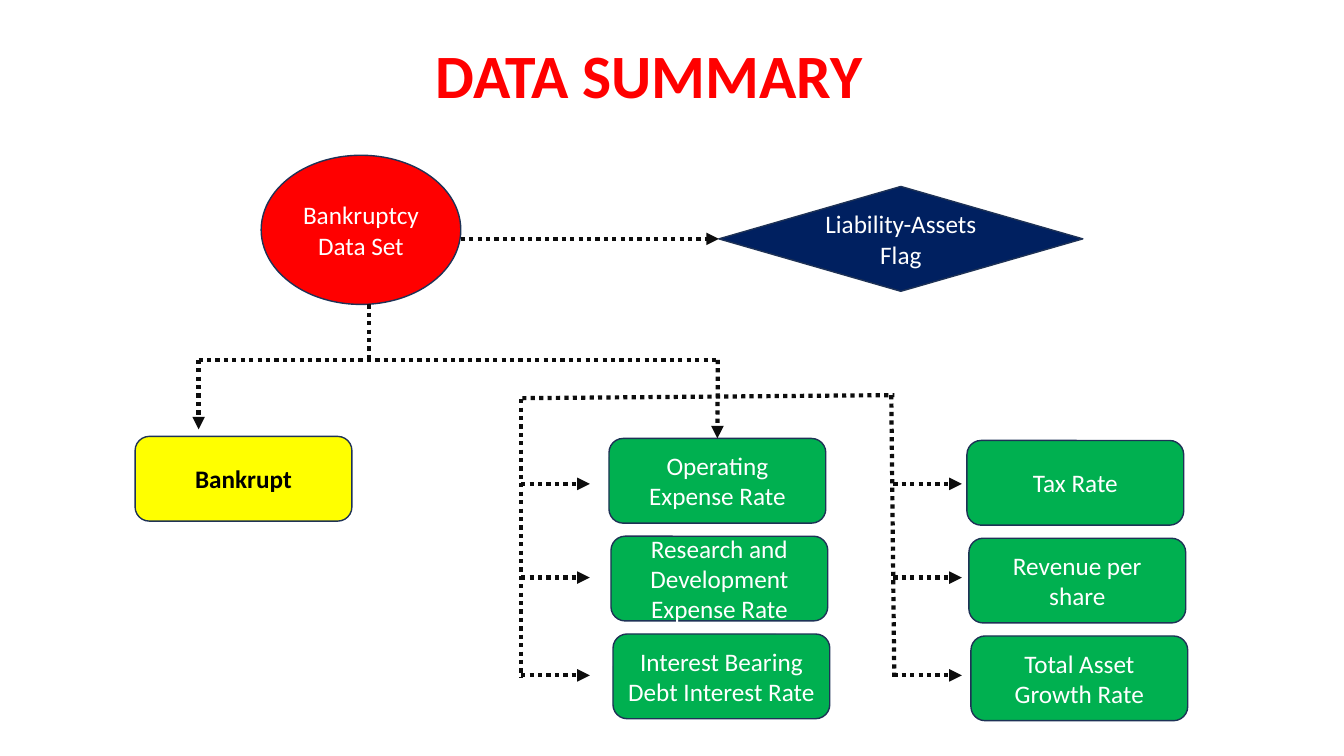
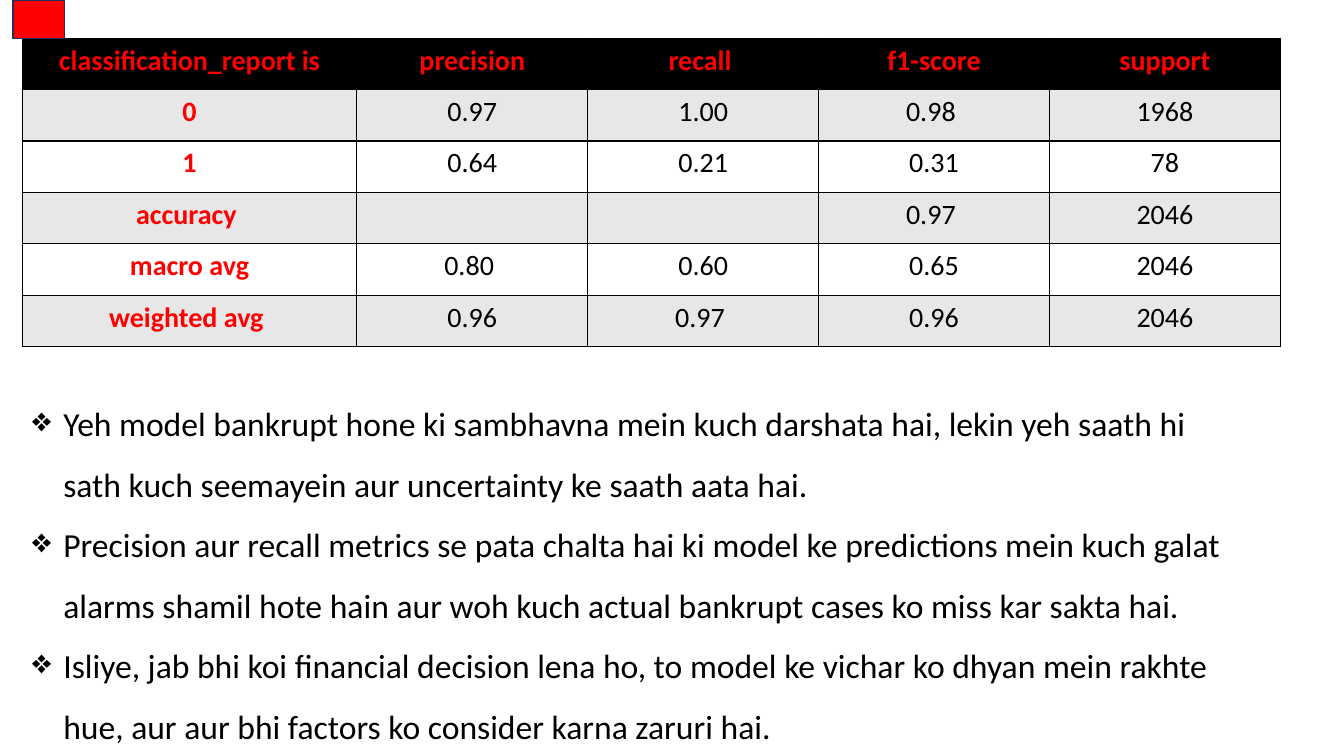
from dataclasses import dataclass
from pptx import Presentation
from pptx.dml.color import RGBColor as RGB
from pptx.enum.dml import MSO_LINE as Dash
from pptx.enum.shapes import MSO_CONNECTOR as Conn, MSO_SHAPE as Shape
from pptx.enum.text import MSO_ANCHOR as Anchor, MSO_AUTO_SIZE as Fit, PP_ALIGN as Align
from pptx.oxml.ns import qn
from pptx.util import Inches, Pt
from lxml.etree import SubElement as Sub


@dataclass(frozen=True)
class Theme:
    font: str = "Calibri"
    red: str = "FF0000"
    navy: str = "002060"
    yellow: str = "FFFF00"
    green: str = "00B050"
    black: str = "000000"
    white: str = "FFFFFF"
    gray: str = "E7E7E7"
    edge: str = "1E3256"
    wire: str = "0D0D0D"
    title: int = 44
    node: int = 18
    cell: int = 20
    body: int = 24


T = Theme()

# Content: the data summary diagram
TITLE = "DATA SUMMARY "
ROOT = "Bankruptcy Data Set"
FLAG = "Liability-Assets Flag"
TARGET = "Bankrupt"
GROUPS = [  # left, top of first box, x of spurs, labels
    (6.04, 4.35, 5.17, ["Operating Expense Rate",
                        "Research and Development Expense Rate",
                        "Interest Bearing Debt Interest Rate"]),
    (9.59, 4.37, 8.86, ["Tax Rate", "Revenue per share",
                        "Total Asset Growth Rate"]),
]
BOX = (2.15, 0.84)
STEP = (0.02, 0.97)
SPURS = (4.8, 5.73, 6.7)
SPUR = 0.68
WIRES = [  # x1, y1, x2, y2, arrow
    (3.66, 3.02, 3.66, 3.57, False),
    (1.97, 3.57, 7.13, 3.57, False),
    (1.97, 3.57, 1.97, 4.26, True),
    (5.18, 3.95, 8.87, 3.92, False),
    (5.17, 3.96, 5.17, 6.72, False),
    (8.84, 3.92, 8.87, 6.72, False),
]

# Content: the classification report
REPORT = [
    ("classification_report is", "precision", "recall ", "f1-score", "support"),
    ("0", "0.97", "1.00", "0.98 ", "1968"),
    ("1", "0.64", "0.21", "0.31", "78"),
    ("accuracy ", "", "", "0.97 ", "2046"),
    ("macro avg", "0.80 ", "0.60", "0.65", "2046"),
    ("weighted avg ", "0.96", "0.97 ", "0.96", "2046"),
]
COLS = (3.32, 2.29, 2.29, 2.29, 2.29)
ROW = 0.51
NOTES = [
    "Yeh model bankrupt hone ki sambhavna mein kuch darshata hai, lekin yeh "
    "saath hi sath kuch seemayein aur uncertainty ke saath aata hai.",
    "Precision aur recall metrics se pata chalta hai ki model ke predictions "
    "mein kuch galat alarms shamil hote hain aur woh kuch actual bankrupt "
    "cases ko miss kar sakta hai.",
    "Isliye, jab bhi koi financial decision lena ho, to model ke vichar ko "
    "dhyan mein rakhte hue, aur aur bhi factors ko consider karna zaruri hai.",
]


# Shared helpers
def color(code):
    return RGB.from_string(code)


def write(para, text, size, tint, bold=False, align=Align.CENTER):
    para.alignment = align
    run = para.add_run()
    run.text = text
    font = run.font
    font.name, font.size, font.bold = T.font, Pt(size), bold
    font.color.rgb = color(tint)


def block(slide, kind, place, fill, text="", tint=T.white, bold=False):
    shape = slide.shapes.add_shape(kind, *map(Inches, place))
    shape.shadow.inherit = False
    shape.fill.solid()
    shape.fill.fore_color.rgb = color(fill)
    shape.line.color.rgb = color(T.edge)
    shape.line.width = Pt(1)
    if text:
        frame = shape.text_frame
        frame.word_wrap = True
        frame.vertical_anchor = Anchor.MIDDLE
        write(frame.paragraphs[0], text, T.node, tint, bold)
    return shape


def wire(slide, x1, y1, x2, y2, arrow=False):
    line = slide.shapes.add_connector(
        Conn.STRAIGHT, *map(Inches, (x1, y1, x2, y2)))
    line.line.color.rgb = color(T.wire)
    line.line.width = Pt(3)
    line.line.dash_style = Dash.ROUND_DOT
    if arrow:
        Sub(line.line._get_or_add_ln(), qn("a:tailEnd"), type="triangle")
    Sub(line._element.spPr, qn("a:effectLst"))
    return line


def border(cell):
    props = cell._tc.get_or_add_tcPr()
    for side in ("lnL", "lnR", "lnT", "lnB"):
        edge = Sub(props, qn(f"a:{side}"), w=str(Pt(1)))
        Sub(Sub(edge, qn("a:solidFill")), qn("a:srgbClr"), val=T.black)


def bullet(para, mark, indent):
    props = para._p.get_or_add_pPr()
    props.set("marL", str(Inches(indent)))
    props.set("indent", str(-Inches(indent)))
    Sub(props, qn("a:buChar"), char=mark)


# Slide 1: diagram
def summary(deck):
    slide = deck.slides.add_slide(deck.slide_layouts[5])
    head = slide.shapes.title
    head.left, head.top, head.width, head.height = map(
        Inches, (0.76, 0.4, 11.5, 0.93))
    frame = head.text_frame
    frame.vertical_anchor, frame.auto_size = Anchor.TOP, Fit.NONE
    frame.paragraphs[0].line_spacing = 0.9
    write(frame.paragraphs[0], TITLE, T.title, T.red, True)

    # Nodes
    block(slide, Shape.OVAL, (2.59, 1.54, 1.98, 1.48), T.red, ROOT)
    flag = block(slide, Shape.FLOWCHART_DECISION, (7.13, 1.85, 3.61, 1.04),
                 T.navy, FLAG)
    kind = Shape.FLOWCHART_ALTERNATE_PROCESS
    block(slide, kind, (1.34, 4.33, *BOX), T.yellow, TARGET, T.black, True)
    boxes = [block(slide, kind,
                   (left + i * STEP[0], top + i * STEP[1], *BOX), T.green, text)
             for left, top, _, texts in GROUPS for i, text in enumerate(texts)]

    # Wires
    wire(slide, 4.57, 2.37, 7.13, 2.37, True).end_connect(flag, 1)
    wire(slide, 7.12, 3.57, 7.12, 4.35, True).end_connect(boxes[0], 0)
    for ends in WIRES:
        wire(slide, *ends)
    for _, _, x, _ in GROUPS:
        for y in SPURS:
            wire(slide, x, y, x + SPUR, y, True)


# Slide 2: report table and reading
def report(deck):
    slide = deck.slides.add_slide(deck.slide_layouts[6])
    table = slide.shapes.add_table(
        len(REPORT), len(COLS), Inches(0.22), Inches(0.38),
        Inches(sum(COLS)), Inches(ROW * len(REPORT))).table
    for col, width in zip(table.columns, COLS):
        col.width = Inches(width)
    for r, row in enumerate(REPORT):
        table.rows[r].height = Inches(ROW)
        fill = T.black if r == 0 else (T.white, T.gray)[r % 2]
        for c, text in enumerate(row):
            cell = table.cell(r, c)
            border(cell)
            cell.fill.solid()
            cell.fill.fore_color.rgb = color(fill)
            label = r == 0 or c == 0
            if text:
                write(cell.text_frame.paragraphs[0], text, T.cell,
                      T.red if label else T.black, label)

    frame = slide.shapes.add_textbox(
        *map(Inches, (0.22, 3.75, 12.17, 3.67))).text_frame
    frame.word_wrap, frame.auto_size = True, Fit.SHAPE_TO_FIT_TEXT
    for i, text in enumerate(NOTES):
        para = frame.add_paragraph() if i else frame.paragraphs[0]
        para.line_spacing = 1.5
        bullet(para, "❖", 0.31)
        write(para, text, T.body, T.black, align=Align.LEFT)

    block(slide, Shape.RECTANGLE, (0.13, 0, 0.51, 0.38), T.red)


def main():
    deck = Presentation()
    deck.slide_width, deck.slide_height = Inches(13.33), Inches(7.5)
    summary(deck)
    report(deck)
    deck.save("out.pptx")


if __name__ == "__main__":
    main()
